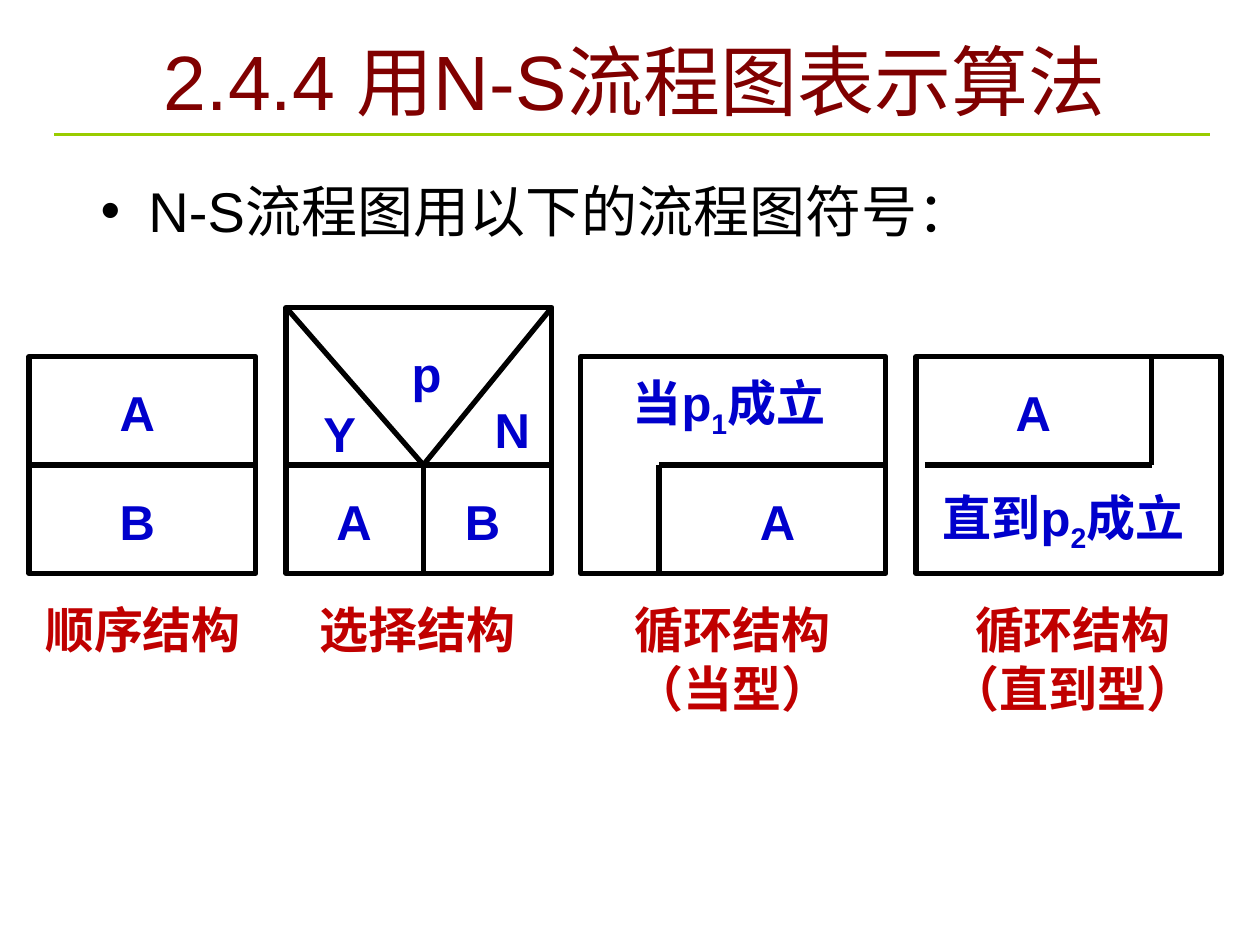
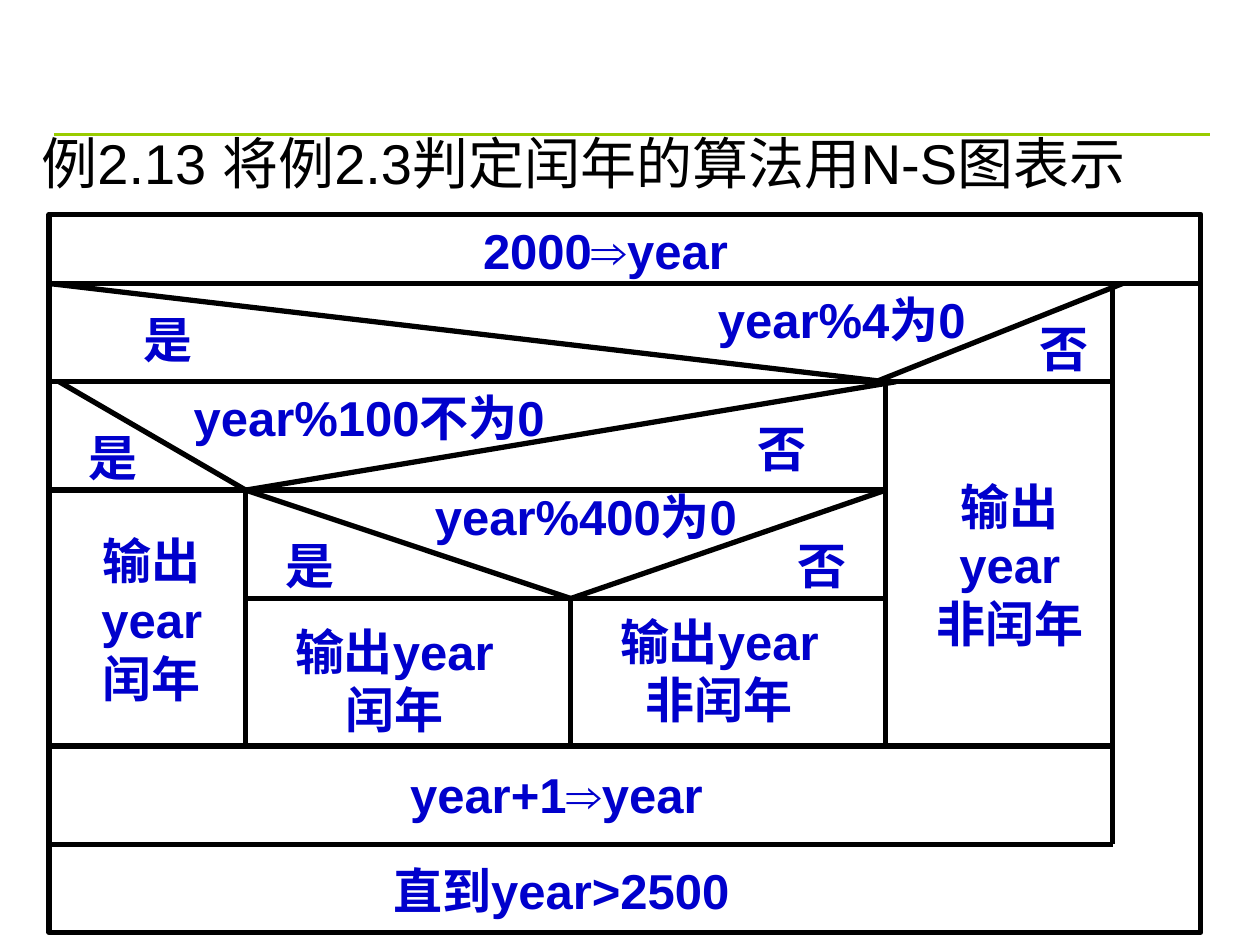
"""Builds two slides that explain N-S flowcharts."""
from lxml import etree
from pptx import Presentation
from pptx.dml.color import RGBColor
from pptx.enum import shapes, text
from pptx.oxml.ns import qn
from pptx.util import Inches, Pt

FONT = "Arial"
BLACK, BLUE, RED, MAROON, GREEN = "000000", "0000CC", "C00000", "800000", "99CC00"
LABEL_HEIGHT = 0.57
LEFT, RIGHT = 1, 3

TITLE = "2.4.4 用N-S流程图表示算法"
INTRO = "N-S流程图用以下的流程图符号："
EXAMPLE = "例2.13 将例2.3判定闰年的算法用N-S图表示"

BOX_TOP, DIVIDER, BOX_BOTTOM = 2.83, 3.69, 4.55
UPPER, LOWER = 2.99, 3.85
STRUCTURES = [
    {"box": (0.23, BOX_TOP, 1.8),
     "lines": [(0.23, DIVIDER, 2.03, DIVIDER, LEFT, RIGHT)],
     "labels": [("A", 0.7, UPPER, 0.78), ("B", 0.7, LOWER, 0.78)]},
    {"box": (2.27, 2.44, 2.11),
     "lines": [(2.27, DIVIDER, 4.38, DIVIDER), (2.27, 2.44, 3.36, DIVIDER),
               (4.38, 2.44, 3.36, DIVIDER), (3.36, DIVIDER, 3.36, BOX_BOTTOM)],
     "labels": [("A", 2.42, LOWER, 0.78), ("B", 3.44, LOWER, 0.78),
                ("Y", 2.42, 3.15, 0.55), ("N", 3.81, 3.12, 0.51),
                ("p", 3.13, 2.68, 0.51)]},
    {"box": (4.61, BOX_TOP, 2.42),
     "lines": [(5.23, DIVIDER, 7.03, DIVIDER, None, RIGHT),
               (5.23, DIVIDER, 5.23, BOX_BOTTOM)],
     "labels": [("A", 5.78, LOWER, 0.78), ("当p~1~成立", 4.77, 2.91, 2.03)]},
    {"box": (7.27, BOX_TOP, 2.42),
     "lines": [(7.34, DIVIDER, 9.14, DIVIDER), (9.14, BOX_TOP, 9.14, DIVIDER)],
     "labels": [("A", 7.81, UPPER, 0.78), ("直到p~2~成立", 7.27, 3.82, 2.34)]},
]
CAPTION_TOP = 4.71
CAPTIONS = [("顺序结构", 0.16, 1.95), ("选择结构", 2.34, 1.95),
            ("循环结构\n（当型）", 4.84, 1.95), ("循环结构（直到型）", 7.42, 2.19)]

FRAME = (0.39, 1.7, 9.14, 5.7)
FRAME_LEFT, FRAME_RIGHT = 0.39, 9.53
LEAP_X, CENTURY_X, COMMON_X, LOOP_X = 1.95, 4.53, 7.03, 8.83
START_Y, BY_4_Y, BY_100_Y, BY_400_Y, OUTPUT_Y, LOOP_Y = 2.25, 3.03, 3.89, 4.75, 5.92, 6.7
ROW_LINES = [(FRAME_LEFT, FRAME_RIGHT, START_Y), (FRAME_LEFT, LOOP_X, BY_4_Y),
             (FRAME_LEFT, COMMON_X, BY_100_Y), (LEAP_X, COMMON_X, BY_400_Y),
             (FRAME_LEFT, LOOP_X, OUTPUT_Y), (FRAME_LEFT, LOOP_X, LOOP_Y)]
COLUMN_LINES = [(LEAP_X, BY_100_Y, OUTPUT_Y), (CENTURY_X, BY_400_Y, OUTPUT_Y),
                (COMMON_X, BY_4_Y, OUTPUT_Y), (LOOP_X, START_Y, LOOP_Y)]
BRANCH_LINES = [(8.91, START_Y, 6.95, BY_4_Y), (FRAME_LEFT, START_Y, COMMON_X, BY_4_Y),
                (0.47, BY_4_Y, LEAP_X, BY_100_Y), (7.11, BY_4_Y, LEAP_X, BY_100_Y),
                (LEAP_X, BY_100_Y, CENTURY_X, BY_400_Y),
                (COMMON_X, BY_100_Y, CENTURY_X, BY_400_Y)]
STEPS = [("2000⇒year", 3.44, 1.7, 2.73), ("year+1⇒year", 2.89, 6.02, 3.05),
         ("直到year>2500", 2.66, 6.78, 3.59),
         ("year%4为0", 5.39, 2.25, 2.58), ("是", 1.02, 2.41, 0.62), ("否", 8.13, 2.48, 0.62),
         ("year%100不为0", 1.25, 3.03, 3.36), ("是", 0.47, 3.34, 0.86),
         ("否", 5.78, 3.27, 0.86),
         ("year%400为0", 2.97, 3.81, 3.36), ("是", 2.03, 4.2, 0.86), ("否", 6.09, 4.2, 0.86)]
OUTPUTS = [("输出\nyear\n非闰年", 6.88, 3.5, 2.27, 1.72),
           ("输出year\n非闰年", 4.38, 4.67, 2.66, 1.33),
           ("输出year\n闰年", 1.8, 4.75, 2.66, 1.33),
           ("输出\nyear\n闰年", 0.23, 3.89, 1.95, 1.8)]


def color(value):
    return RGBColor.from_string(value)


def write(frame, content, size, ink, bold=False, centered=True):
    for index, line in enumerate(content.split("\n")):
        paragraph = frame.paragraphs[0] if index == 0 else frame.add_paragraph()
        paragraph.alignment = text.PP_ALIGN.CENTER if centered else text.PP_ALIGN.LEFT
        for part, piece in enumerate(line.split("~")):
            run = paragraph.add_run()
            run.text = piece
            run.font.name, run.font.size, run.font.bold = FONT, Pt(size), bold
            run.font.color.rgb = color(ink)
            if part % 2:
                run.font._element.set("baseline", "-25000")


def add_text(parent, content, left, top, width, height=LABEL_HEIGHT, size=28, ink=BLUE,
             bold=True, centered=True):
    box = parent.shapes.add_textbox(*map(Inches, (left, top, width, height)))
    box.text_frame.word_wrap = True
    write(box.text_frame, content, size, ink, bold, centered)
    return box


def add_hanging_text(slide, content, place, bullet=None):
    box = add_text(slide, content, *place, size=32, ink=BLACK, bold=False, centered=False)
    properties = box.text_frame.paragraphs[0]._p.get_or_add_pPr()
    properties.set("marL", str(Inches(0.38)))
    properties.set("indent", str(-Inches(0.38)))
    if bullet:
        etree.SubElement(properties, qn("a:buFont")).set("typeface", FONT)
        etree.SubElement(properties, qn("a:buChar")).set("char", bullet)


def add_line(parent, x1, y1, x2, y2, ink=BLACK, width=3):
    line = parent.shapes.add_connector(shapes.MSO_CONNECTOR.STRAIGHT,
                                       *map(Inches, (x1, y1, x2, y2)))
    line.line.color.rgb = color(ink)
    line.line.width = Pt(width)
    etree.SubElement(line._element.spPr, qn("a:effectLst"))
    return line


def add_outline(parent, kind, place, bordered=True):
    shape = parent.shapes.add_shape(kind, *map(Inches, place))
    shape.shadow.inherit = False
    shape.fill.background()
    if bordered:
        shape.line.color.rgb = color(BLACK)
        shape.line.width = Pt(3)
    else:
        shape.line.fill.background()
    return shape


def add_structure(slide, structure):
    group = slide.shapes.add_group_shape()
    left, top, width = structure["box"]
    box = add_outline(group, shapes.MSO_SHAPE.FLOWCHART_PROCESS,
                      (left, top, width, BOX_BOTTOM - top))
    for x1, y1, x2, y2, *sides in structure["lines"]:
        line = add_line(group, x1, y1, x2, y2)
        begin, end = sides or (None, None)
        if begin is not None:
            line.begin_connect(box, begin)
        if end is not None:
            line.end_connect(box, end)
    for label in structure["labels"]:
        add_text(group, *label)


def add_output(slide, content, *place):
    shape = add_outline(slide, shapes.MSO_SHAPE.PARALLELOGRAM, place, bordered=False)
    frame = shape.text_frame
    frame.margin_left = frame.margin_right = frame.margin_top = frame.margin_bottom = 0
    frame.word_wrap = False
    frame.vertical_anchor = text.MSO_ANCHOR.TOP
    write(frame, content, 28, BLUE, bold=True)


def new_slide(presentation):
    slide = presentation.slides.add_slide(presentation.slide_layouts[6])
    add_line(slide, 0.43, 1.07, 9.6, 1.07, GREEN, 1.5)
    return slide


def build_symbols(presentation):
    slide = new_slide(presentation)
    title = add_text(slide, TITLE, 0.47, 0.21, 9.14, 0.84, 44, MAROON, bold=False)
    title.text_frame.vertical_anchor = text.MSO_ANCHOR.MIDDLE
    add_hanging_text(slide, INTRO, (0.7, 1.35, 8.75, 1.02), "•")
    for structure in STRUCTURES:
        add_structure(slide, structure)
    for content, left, width in CAPTIONS:
        height = 1.04 if "（" in content else LABEL_HEIGHT
        add_text(slide, content, left, CAPTION_TOP, width, height, ink=RED)


def build_leap_year(presentation):
    slide = new_slide(presentation)
    add_hanging_text(slide, EXAMPLE, (0.23, 0.97, 9.61, 0.86))
    add_outline(slide, shapes.MSO_SHAPE.FLOWCHART_PROCESS, FRAME)
    for start, end, y in ROW_LINES:
        add_line(slide, start, y, end, y)
    for x, start, end in COLUMN_LINES:
        add_line(slide, x, start, x, end)
    for branch in BRANCH_LINES:
        add_line(slide, *branch)
    for step in STEPS:
        add_text(slide, *step)
    for output in OUTPUTS:
        add_output(slide, *output)


def main():
    presentation = Presentation()
    presentation.slide_width, presentation.slide_height = Inches(10), Inches(7.5)
    build_symbols(presentation)
    build_leap_year(presentation)
    presentation.save("out.pptx")


if __name__ == "__main__":
    main()
